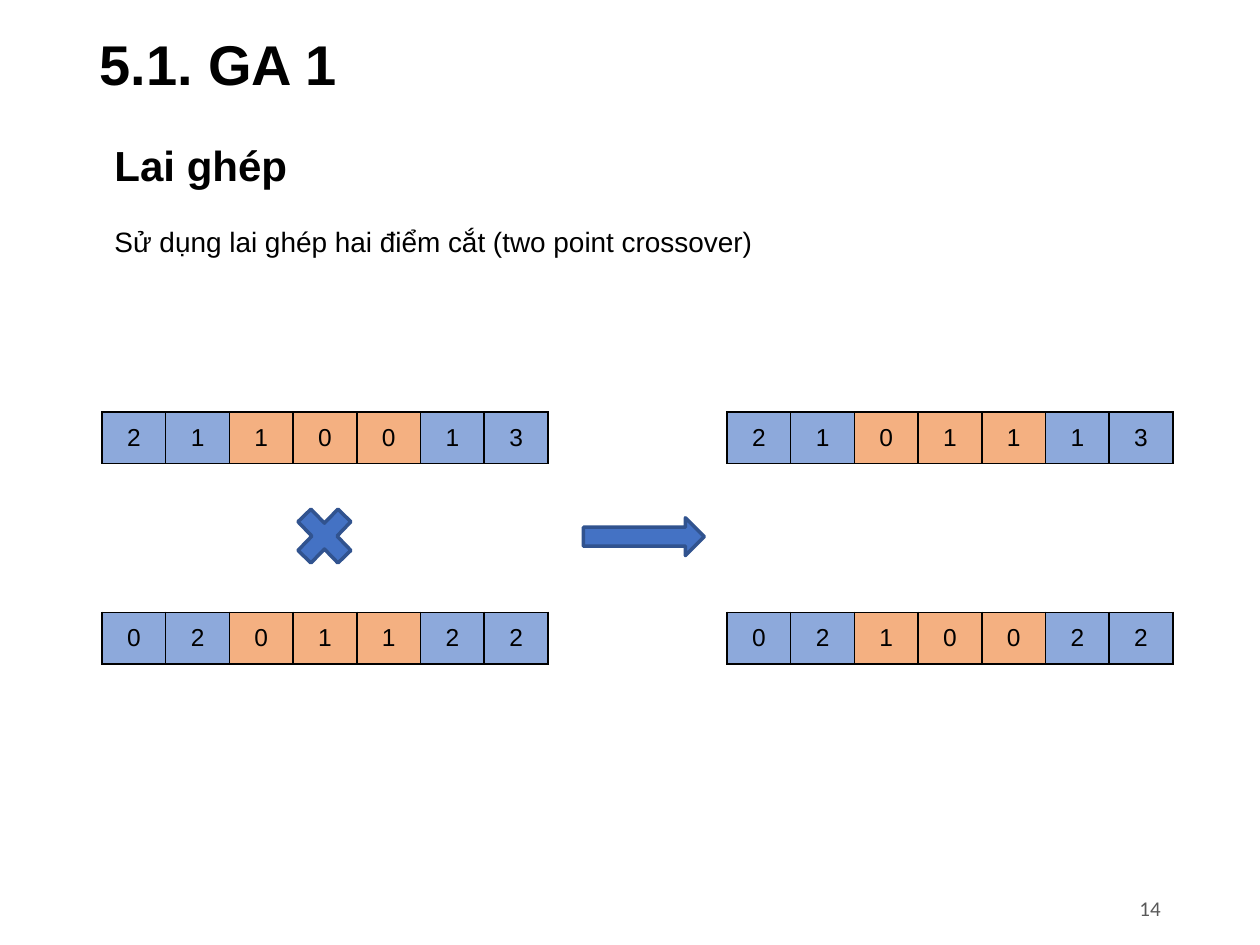
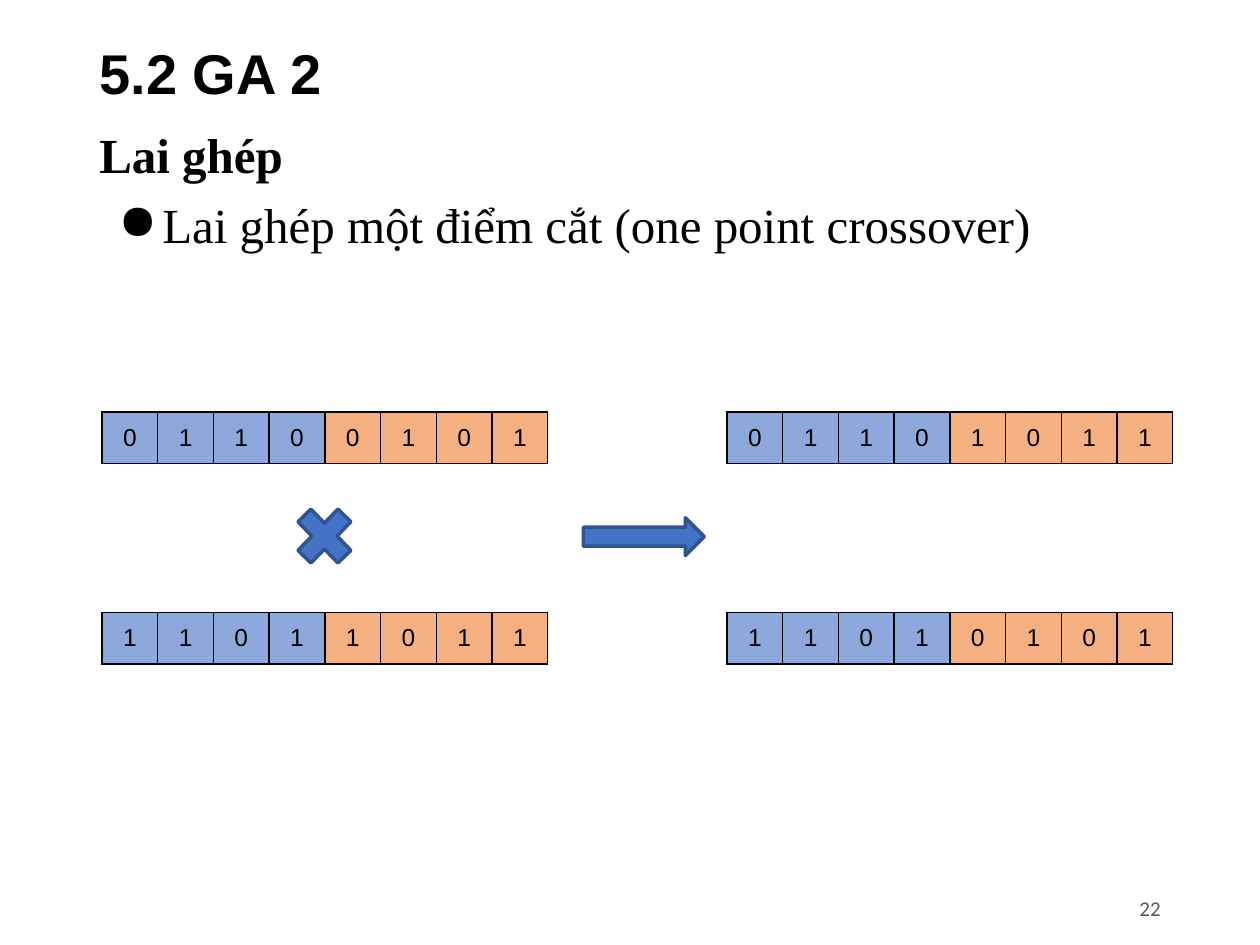
from dataclasses import dataclass
from lxml.etree import SubElement
from pptx import Presentation
from pptx.dml.color import RGBColor
from pptx.enum.shapes import MSO_SHAPE
from pptx.enum.text import MSO_ANCHOR, MSO_AUTO_SIZE, PP_ALIGN
from pptx.oxml import parse_xml
from pptx.oxml.ns import nsdecls, qn
from pptx.util import Inches, Pt


@dataclass(frozen=True)
class Theme:
    sans: str = "Arial"
    serif: str = "Times New Roman"
    foot: str = "Calibri"
    ink: str = "000000"
    grey: str = "595959"
    outer: str = "8DA9DB"
    inner: str = "F4B081"
    mark: str = "4472C4"
    edge: str = "31538F"
    title: int = 32
    lead: int = 28
    head: int = 24
    text: int = 16
    gene: int = 14
    page: int = 12


THEME = Theme()
LEFT, WIDE = 0.69, 8.62
GRID = (0.81, 3.27, 8.5, 2)


def color(code):
    return RGBColor.from_string(code)


def write(para, text, size, font=THEME.sans, ink=THEME.ink, bold=False,
          align=PP_ALIGN.LEFT, lines=1.0, before=0, indent=(0, 0), bullet=None):
    run = para.add_run()
    run.text = text
    run.font.size, run.font.name, run.font.bold = Pt(size), font, bold
    run.font.color.rgb = color(ink)
    para.alignment, para.line_spacing, para.space_before = align, lines, Pt(before)
    props = para._p.get_or_add_pPr()
    props.set("marL", str(Inches(indent[0])))
    props.set("indent", str(Inches(indent[1])))
    if bullet:
        tint = SubElement(props, qn("a:buClr"))
        SubElement(tint, qn("a:srgbClr"), val=ink)
        SubElement(props, qn("a:buChar"), char=bullet)


def place(shape, box):
    shape.left, shape.top, shape.width, shape.height = map(Inches, box)


def title(slide, box, text, lines):
    shape = slide.shapes.title
    place(shape, box)
    frame = shape.text_frame
    frame.auto_size = MSO_AUTO_SIZE.NONE
    frame.vertical_anchor = MSO_ANCHOR.MIDDLE
    write(frame.paragraphs[0], text, THEME.title, bold=True, lines=lines)


def body(slide, box, items, anchor=MSO_ANCHOR.TOP):
    frame = slide.shapes.add_textbox(*map(Inches, box)).text_frame
    frame.word_wrap = True
    frame.vertical_anchor = anchor
    for index, (text, style) in enumerate(items):
        para = frame.add_paragraph() if index else frame.paragraphs[0]
        write(para, text, **style)


def border(cell):
    props = cell._tc.get_or_add_tcPr()
    for index, side in enumerate("LRTB"):
        props.insert(index, parse_xml(
            f'<a:ln{side} {nsdecls("a")} w="{Pt(1)}"><a:solidFill>'
            f'<a:srgbClr val="{THEME.ink}"/></a:solidFill></a:ln{side}>'))


def strand(slide, box, genes, swap):
    count = len(genes)
    table = slide.shapes.add_table(1, count, *map(Inches, box)).table
    table.first_row = table.horz_banding = False
    for index, gene in enumerate(genes):
        table.columns[index].width = Inches(box[2] / count)
        cell = table.cell(0, index)
        cell.fill.solid()
        cell.fill.fore_color.rgb = color(THEME.inner if index in swap else THEME.outer)
        cell.vertical_anchor = MSO_ANCHOR.MIDDLE
        write(cell.text_frame.paragraphs[0], gene, THEME.gene, align=PP_ALIGN.CENTER)
        border(cell)


def symbol(slide, kind, box):
    shape = slide.shapes.add_shape(kind, *map(Inches, box))
    shape.shadow.inherit = False
    shape.fill.solid()
    shape.fill.fore_color.rgb = color(THEME.mark)
    shape.line.color.rgb = color(THEME.edge)
    shape.line.width = Pt(2)


def cross(slide, box, pairs, swap):
    left, top, width, height = box
    size, tall = 3.54, 0.41
    for col, pair in enumerate(pairs):
        for row, genes in enumerate(pair):
            spot = (left + col * (width - size), top + row * (height - tall), size, tall)
            strand(slide, spot, genes, swap)
    symbol(slide, MSO_SHAPE.RIGHT_ARROW, (left + 3.82, top + 0.84, 0.96, 0.3))
    symbol(slide, MSO_SHAPE.MATH_MULTIPLY, (left + 1.46, top + 0.67, 0.61, 0.63))


def number(slide, box, text):
    style = dict(size=THEME.page, font=THEME.foot, ink=THEME.grey, align=PP_ALIGN.RIGHT)
    body(slide, box, [(text, style)], MSO_ANCHOR.MIDDLE)


def page(deck, name, top, tall, lines, items, start, pairs, swap, count):
    slide = deck.slides.add_slide(deck.slide_layouts[5])
    title(slide, (LEFT, top, WIDE, tall), name, lines)
    body(slide, (LEFT, start, WIDE, 1.61), items)
    cross(slide, GRID, pairs, swap)
    number(slide, (8.06, 7.01, 1.25, 0.4), count)


def main():
    deck = Presentation()
    deck.slide_width, deck.slide_height = Inches(10), Inches(7.5)
    loose = dict(lines=1.5, before=10, indent=(0.12, 0))
    tight = dict(size=THEME.lead, font=THEME.serif, lines=0.9, before=10)
    page(deck, "5.1. GA 1", 0.13, 0.81, 0.9,
         [("Lai ghép", dict(loose, size=THEME.head, bold=True)),
          ("Sử dụng lai ghép hai điểm cắt (two point crossover)",
           dict(loose, size=THEME.text))],
         0.86, [("2110013", "0201122"), ("2101113", "0210022")], range(2, 5), "14")
    page(deck, "5.2 GA 2", 0.16, 0.83, 1.0,
         [("Lai ghép", dict(tight, bold=True)),
          ("Lai ghép một điểm cắt (one point crossover)",
           dict(tight, indent=(0.5, -0.35), bullet="●"))],
         0.99, [("01100101", "11011011"), ("01101011", "11010101")], range(4, 8), "22")
    deck.save("out.pptx")


if __name__ == "__main__":
    main()
